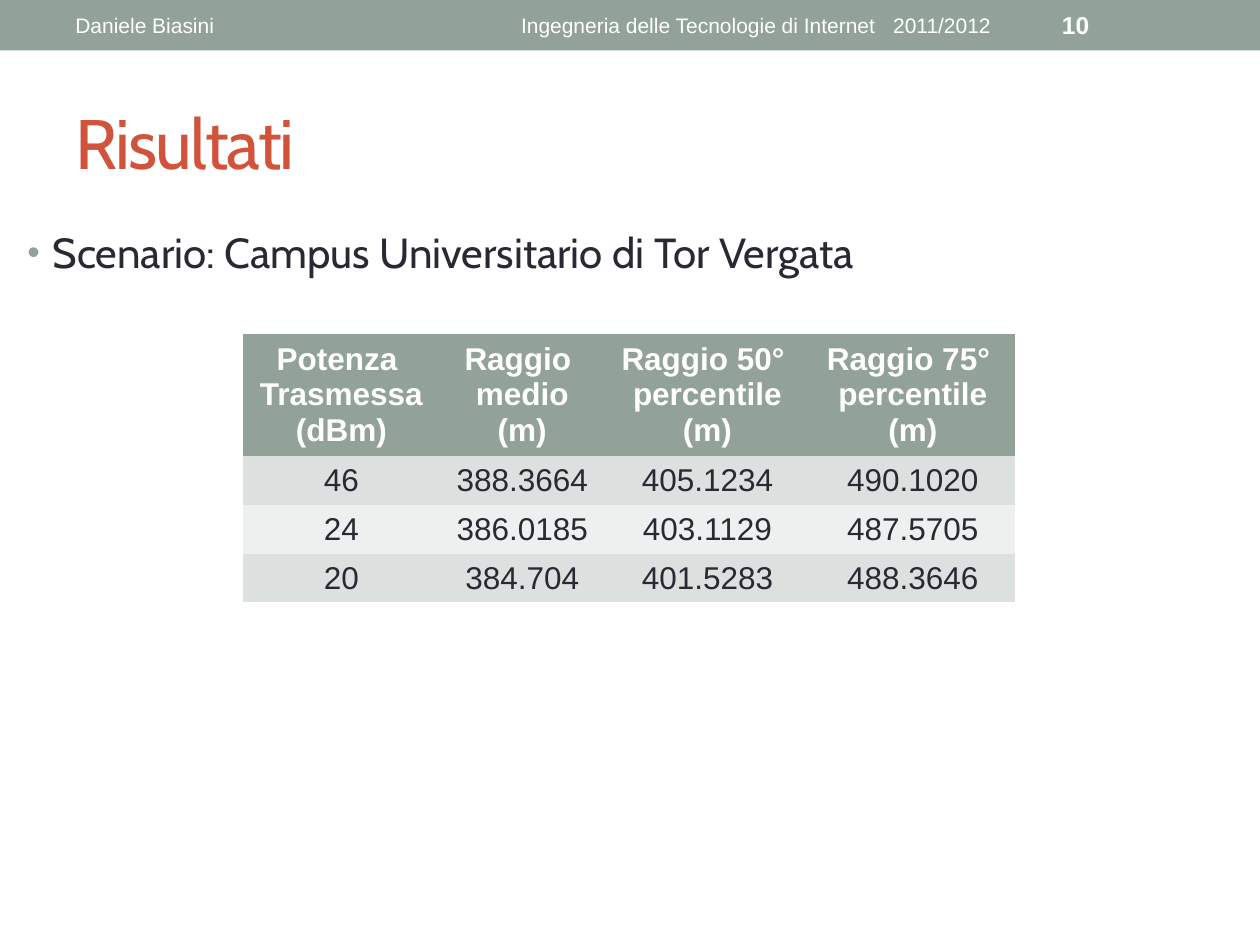
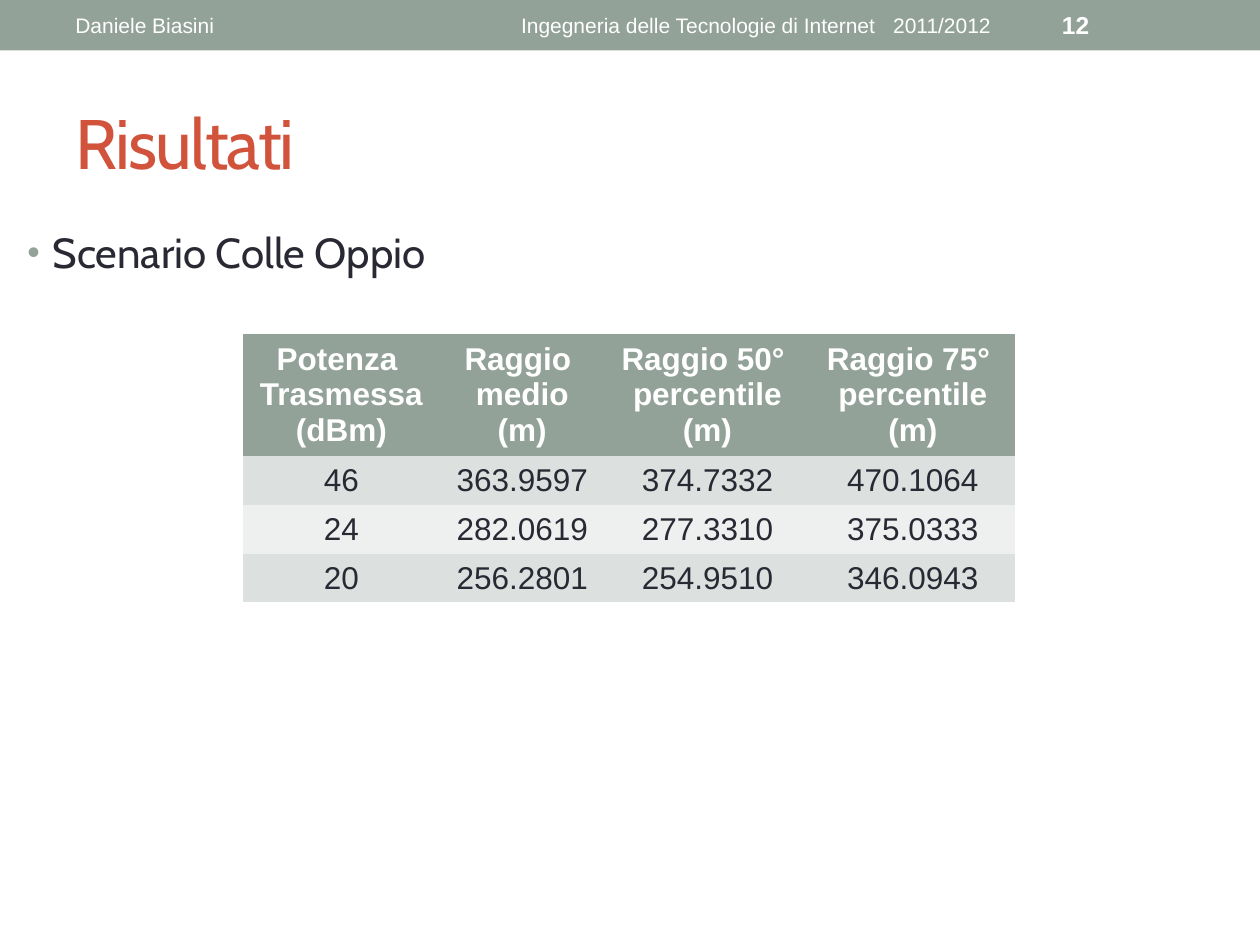
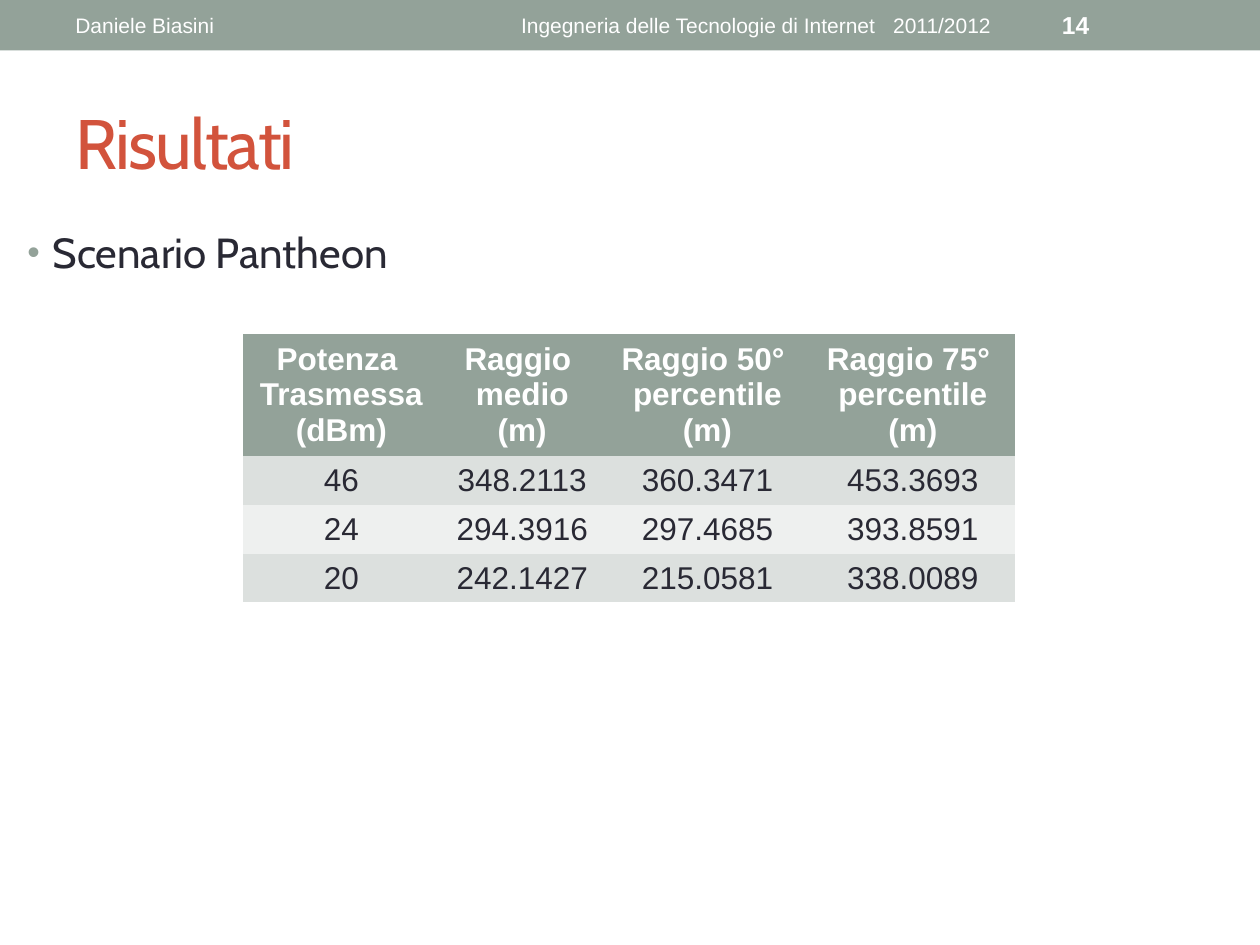
"""Build the three result slides, each with one scenario and its table of radii."""
from dataclasses import dataclass
from typing import NamedTuple

from lxml import etree
from pptx import Presentation
from pptx.dml.color import RGBColor
from pptx.enum.shapes import MSO_SHAPE
from pptx.enum.text import MSO_ANCHOR, PP_ALIGN
from pptx.oxml.ns import qn
from pptx.util import Emu, Inches, Pt

RECTANGLE = MSO_SHAPE.RECTANGLE
TOP, MIDDLE = MSO_ANCHOR.TOP, MSO_ANCHOR.MIDDLE
LEFT, CENTER = PP_ALIGN.LEFT, PP_ALIGN.CENTER

SLIDE_WIDTH, SLIDE_HEIGHT = Inches(10), Inches(7.5)
GRID_COLUMNS, GRID_ROWS = 100, 75
TITLE_ONLY_LAYOUT = 5
PLAIN_TABLE_STYLE = "{2D5ABB26-0587-4C30-8999-92F81FD0307C}"


@dataclass(frozen=True)
class Theme:
    """Colours, fonts and type sizes shared by the slides."""

    sage: str = "93A299"
    red: str = "D2533C"
    ink: str = "292934"
    white: str = "FFFFFF"
    row_fills: tuple[str, str] = ("DCE0DE", "EEF0EF")
    heading_font: str = "Cabin"
    text_font: str = "Arial"
    title_size: float = 40
    scenario_size: float = 24
    table_size: float = 18
    number_size: float = 14
    header_size: float = 12


class Box(NamedTuple):
    """A rectangle in grid columns and rows."""

    column: float
    row: float
    columns: float
    rows: float


class Scenario(NamedTuple):
    """One slide's number, heading and measured radii."""

    number: int
    heading: str
    results: tuple[tuple[str, ...], ...]


THEME = Theme()
BAND = Box(0, 0, 100, 4)
AUTHOR = Box(5, 0.2, 31.7, 3.6)
COURSE = Box(37.5, 0.2, 45, 3.6)
NUMBER = Box(83.3, 0.2, 11.7, 3.6)
TITLE = Box(5, 5.8, 90, 10.8)
BODY = Box(1.2, 17.5, 97.6, 56.2)
TABLE_LEFT, TABLE_TOP = 19.3, 26.5
TABLE_COLUMNS = (15.6, 13.1, 16.3, 16.3)
TABLE_ROWS = (9.4, 3.9, 3.9, 3.8)
CELL_MARGIN_ROWS = 0.35
BULLET_INDENT = 2

TABLE_HEADINGS = (
    ("Potenza ", "Trasmessa", "(dBm)"),
    ("Raggio ", "medio", "(m)"),
    ("Raggio 50° ", "percentile", "(m)"),
    ("Raggio 75° ", "percentile", "(m)"),
)
SCENARIOS = (
    Scenario(10, "Scenario: Campus Universitario di Tor Vergata", (
        ("46", "388.3664", "405.1234", "490.1020"),
        ("24", "386.0185", "403.1129", "487.5705"),
        ("20", "384.704", "401.5283", "488.3646"),
    )),
    Scenario(12, "Scenario Colle Oppio", (
        ("46", "363.9597", "374.7332", "470.1064"),
        ("24", "282.0619", "277.3310", "375.0333"),
        ("20", "256.2801", "254.9510", "346.0943"),
    )),
    Scenario(14, "Scenario Pantheon", (
        ("46", "348.2113", "360.3471", "453.3693"),
        ("24", "294.3916", "297.4685", "393.8591"),
        ("20", "242.1427", "215.0581", "338.0089"),
    )),
)


def across(columns: float) -> Emu:
    """Convert grid columns to a length."""
    return Emu(round(SLIDE_WIDTH * columns / GRID_COLUMNS))


def down(rows: float) -> Emu:
    """Convert grid rows to a length."""
    return Emu(round(SLIDE_HEIGHT * rows / GRID_ROWS))


def place(box: Box) -> tuple[Emu, Emu, Emu, Emu]:
    """Return left, top, width and height of a box."""
    return across(box.column), down(box.row), across(box.columns), down(box.rows)


def write_text(paragraph, text: str, *, size: float, color: str,
               font: str = THEME.text_font, bold: bool = False,
               align: PP_ALIGN = LEFT, spacing: float = 0) -> None:
    """Append formatted text to a paragraph, with letter spacing in points."""
    paragraph.alignment = align
    run = paragraph.add_run()
    run.text = text
    run.font.size = Pt(size)
    run.font.name = font
    run.font.bold = bold
    run.font.color.rgb = RGBColor.from_string(color)
    if spacing:
        run._r.get_or_add_rPr().set("spc", str(round(spacing * 100)))


def add_text_box(slide, box: Box, anchor: MSO_ANCHOR = MIDDLE):
    """Add a wrapping text box and return its first paragraph."""
    frame = slide.shapes.add_textbox(*place(box)).text_frame
    frame.word_wrap = True
    frame.vertical_anchor = anchor
    return frame.paragraphs[0]


def add_bullet(paragraph) -> None:
    """Give a paragraph a sage bullet and a hanging indent."""
    properties = paragraph._p.get_or_add_pPr()
    indent = across(BULLET_INDENT)
    properties.set("marL", str(indent))
    properties.set("indent", str(-indent))
    color = etree.SubElement(properties, qn("a:buClr"))
    etree.SubElement(color, qn("a:srgbClr"), val=THEME.sage)
    etree.SubElement(properties, qn("a:buSzPct"), val="85000")
    etree.SubElement(properties, qn("a:buFont"), typeface=THEME.text_font)
    etree.SubElement(properties, qn("a:buChar"), char="•")


def add_header(slide, number: int) -> None:
    """Draw the top band with author, course and slide number."""
    band = slide.shapes.add_shape(RECTANGLE, *place(BAND))
    band.shadow.inherit = False
    band.fill.solid()
    band.fill.fore_color.rgb = RGBColor.from_string(THEME.sage)
    band.line.fill.background()

    small = {"size": THEME.header_size, "color": THEME.white}
    course = add_text_box(slide, COURSE)
    write_text(course, "Ingegneria delle Tecnologie di Internet", align=CENTER, **small)
    write_text(course, " ", align=CENTER, spacing=6.67, **small)
    write_text(course, "2011/2012", align=CENTER, **small)
    write_text(add_text_box(slide, NUMBER), str(number),
               size=THEME.number_size, color=THEME.white, bold=True)
    write_text(add_text_box(slide, AUTHOR), "Daniele Biasini", **small)


def add_title(slide, text: str) -> None:
    """Move and format the title placeholder."""
    title = slide.shapes.title
    title.left, title.top, title.width, title.height = place(TITLE)
    title.text_frame.vertical_anchor = MIDDLE
    write_text(title.text_frame.paragraphs[0], text, size=THEME.title_size,
               color=THEME.red, font=THEME.heading_font, spacing=-1)


def add_scenario_heading(slide, text: str) -> None:
    """Write the bulleted scenario name."""
    paragraph = add_text_box(slide, BODY, TOP)
    paragraph.space_before = Pt(THEME.scenario_size * 0.2)
    add_bullet(paragraph)
    write_text(paragraph, text, size=THEME.scenario_size,
               color=THEME.ink, font=THEME.heading_font)


def fill_cell(cell, lines: tuple[str, ...], fill: str, color: str, bold: bool) -> None:
    """Fill a table cell and write one centred paragraph per line."""
    cell.fill.solid()
    cell.fill.fore_color.rgb = RGBColor.from_string(fill)
    cell.vertical_anchor = MIDDLE
    cell.margin_top = cell.margin_bottom = down(CELL_MARGIN_ROWS)
    frame = cell.text_frame
    for index, line in enumerate(lines):
        paragraph = frame.add_paragraph() if index else frame.paragraphs[0]
        write_text(paragraph, line, size=THEME.table_size, color=color,
                   bold=bold, align=CENTER)


def add_results_table(slide, results: tuple[tuple[str, ...], ...]) -> None:
    """Draw the table of radii by transmitted power."""
    box = Box(TABLE_LEFT, TABLE_TOP, sum(TABLE_COLUMNS), sum(TABLE_ROWS))
    graphic_frame = slide.shapes.add_table(
        len(TABLE_ROWS), len(TABLE_COLUMNS), *place(box))
    next(graphic_frame.element.iter(qn("a:tableStyleId"))).text = PLAIN_TABLE_STYLE
    table = graphic_frame.table
    for column, width in zip(table.columns, TABLE_COLUMNS):
        column.width = across(width)
    for row, height in zip(table.rows, TABLE_ROWS):
        row.height = down(height)
    for column_index, heading in enumerate(TABLE_HEADINGS):
        fill_cell(table.cell(0, column_index), heading, THEME.sage, THEME.white, True)
    for row_index, values in enumerate(results):
        fill = THEME.row_fills[row_index % 2]
        for column_index, value in enumerate(values):
            fill_cell(table.cell(row_index + 1, column_index), (value,),
                      fill, THEME.ink, False)


def main() -> None:
    """Build and save the presentation."""
    presentation = Presentation()
    presentation.slide_width, presentation.slide_height = SLIDE_WIDTH, SLIDE_HEIGHT
    layout = presentation.slide_layouts[TITLE_ONLY_LAYOUT]
    for scenario in SCENARIOS:
        slide = presentation.slides.add_slide(layout)
        add_header(slide, scenario.number)
        add_title(slide, "Risultati")
        add_scenario_heading(slide, scenario.heading)
        add_results_table(slide, scenario.results)
    presentation.save("out.pptx")


if __name__ == "__main__":
    main()
